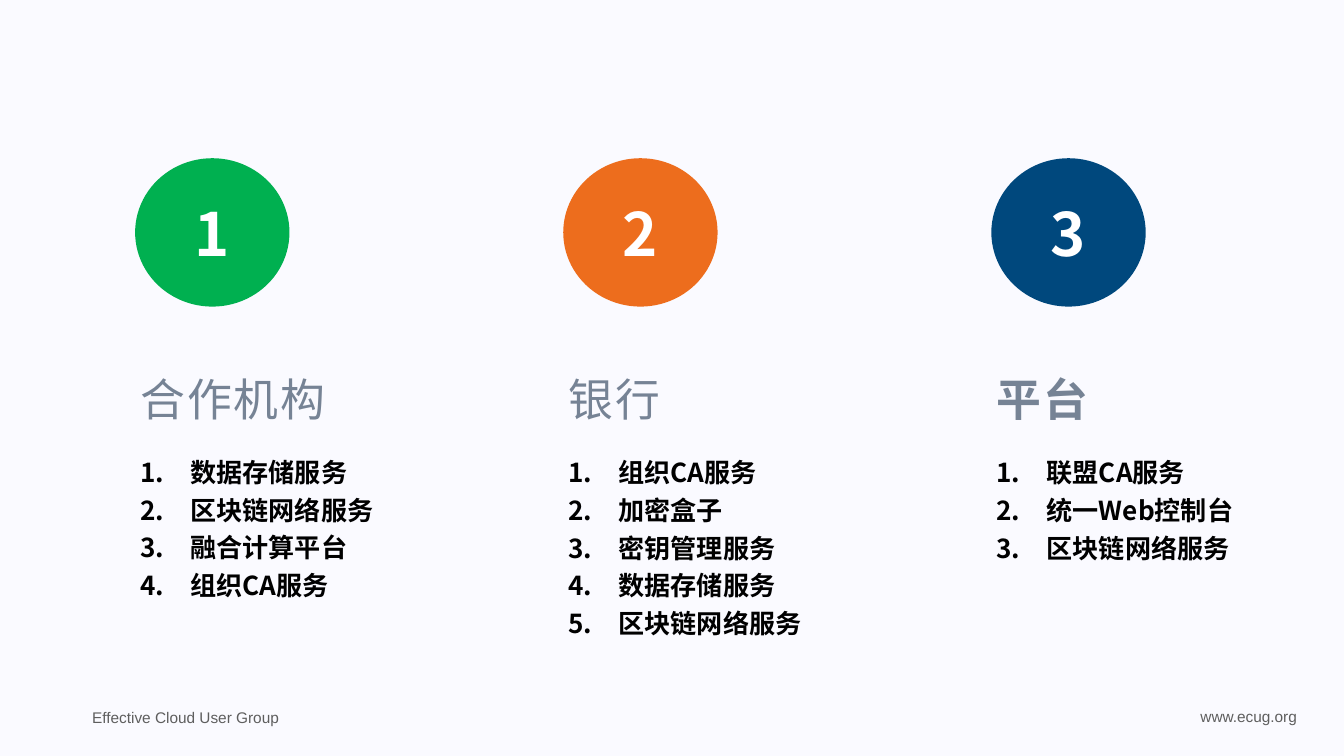
"""Build the slide that lists the services deployed by each of three parties."""
import lxml.etree
import pptx
import pptx.dml.color
import pptx.enum.shapes
import pptx.enum.text
import pptx.oxml.ns
import pptx.util

Pt = pptx.util.Pt
RGBColor = pptx.dml.color.RGBColor
PP_ALIGN = pptx.enum.text.PP_ALIGN
MSO_ANCHOR = pptx.enum.text.MSO_ANCHOR
qn = pptx.oxml.ns.qn

BACKGROUND = RGBColor(0xFA, 0xFA, 0xFF)
WHITE = RGBColor(0xFF, 0xFF, 0xFF)
BLACK = RGBColor(0x00, 0x00, 0x00)
SLATE = RGBColor(0x76, 0x83, 0x95)
GRAY = RGBColor(0x5E, 0x5E, 0x5E)
GREEN = RGBColor(0x00, 0xB0, 0x50)
ORANGE = RGBColor(0xED, 0x6D, 0x1D)
NAVY = RGBColor(0x00, 0x48, 0x7D)

COLUMN_LEFT, COLUMN_STEP = 193, 611.6
PARTIES = [
    ("合作机构", GREEN, False, ["数据存储服务", "区块链网络服务", "融合计算平台", "组织CA服务"]),
    ("银行", ORANGE, False,
     ["组织CA服务", "加密盒子", "密钥管理服务", "数据存储服务", "区块链网络服务"]),
    ("平台", NAVY, True, ["联盟CA服务", "统一Web控制台", "区块链网络服务"]),
]


def write(para, text, *, font, size, color, bold=False, spacing=0,
          align=PP_ALIGN.LEFT, line=None, numbered=False):
    if numbered:
        properties = para._p.get_or_add_pPr()
        properties.set("marL", str(Pt(72)))
        properties.set("indent", str(-Pt(72)))
        lxml.etree.SubElement(properties, qn("a:buFont"), typeface="+mj-lt")
        lxml.etree.SubElement(properties, qn("a:buAutoNum"), type="arabicPeriod")
    para.alignment = align
    if line is not None:
        para.line_spacing = line
    span = para.add_run()
    span.text = text
    span.font.size = Pt(size)
    span.font.bold = bold
    span.font.color.rgb = color
    span.font.name = font
    run_properties = span._r.get_or_add_rPr()
    lxml.etree.SubElement(run_properties, qn("a:ea"), typeface=font)
    if spacing:
        run_properties.set("spc", str(round(spacing * 100)))


class SlideBuilder:
    heading_font = "Noto Sans CJK SC"
    footer_font = "Arial"

    def __init__(self, page):
        self.page = page
        page.background.fill.solid()
        page.background.fill.fore_color.rgb = BACKGROUND

    def text_box(self, left, top, width, height, lines, *, wrap=True,
                 anchor=MSO_ANCHOR.TOP, inset=None, **style):
        box = self.page.shapes.add_textbox(Pt(left), Pt(top), Pt(width), Pt(height))
        frame = box.text_frame
        frame.word_wrap = wrap
        frame.auto_size = pptx.enum.text.MSO_AUTO_SIZE.SHAPE_TO_FIT_TEXT
        frame.vertical_anchor = anchor
        if inset is not None:
            frame.margin_left = frame.margin_right = Pt(inset)
            frame.margin_top = frame.margin_bottom = Pt(inset)
        for index, text in enumerate(lines):
            para = frame.add_paragraph() if index else frame.paragraphs[0]
            write(para, text, **style)

    def badge(self, left, number, color):
        oval = self.page.shapes.add_shape(
            pptx.enum.shapes.MSO_SHAPE.OVAL, Pt(left), Pt(226), Pt(220.5), Pt(212))
        oval.shadow.inherit = False
        oval.fill.solid()
        oval.fill.fore_color.rgb = color
        oval.line.fill.background()
        oval.text_frame.vertical_anchor = MSO_ANCHOR.MIDDLE
        write(oval.text_frame.paragraphs[0], str(number), font=self.heading_font,
              size=85.3, color=WHITE, bold=True, align=PP_ALIGN.CENTER)

    def heading(self, left, text, bold):
        self.text_box(left, 527, 409, 85, [text], font=self.heading_font,
                      size=64, color=SLATE, bold=bold, spacing=3.2)

    def services(self, left, items):
        self.text_box(left, 640, 467, 8 + 54 * len(items), items,
                      font=self.heading_font, size=37.3, color=BLACK,
                      bold=True, line=1.2, numbered=True)

    def footer(self, left, top, width, text, **style):
        self.text_box(left, top, width, 36.7, [text], wrap=False,
                      anchor=MSO_ANCHOR.MIDDLE, inset=5.6,
                      font=self.footer_font, size=22, color=GRAY, **style)


def main():
    deck = pptx.Presentation()
    deck.slide_width, deck.slide_height = Pt(1920), Pt(1080)
    builder = SlideBuilder(deck.slides.add_slide(deck.slide_layouts[6]))
    builder.footer(126, 1006.6, 279.4, "Effective Cloud User Group", line=Pt(26))
    builder.footer(1708.6, 1004.4, 150.5, "www.ecug.org", align=PP_ALIGN.CENTER)
    for index, (name, color, bold, items) in enumerate(PARTIES):
        left = COLUMN_LEFT + index * COLUMN_STEP
        builder.badge(left, index + 1, color)
        builder.heading(left, name, bold)
        builder.services(left, items)
    deck.save("out.pptx")


if __name__ == "__main__":
    main()
